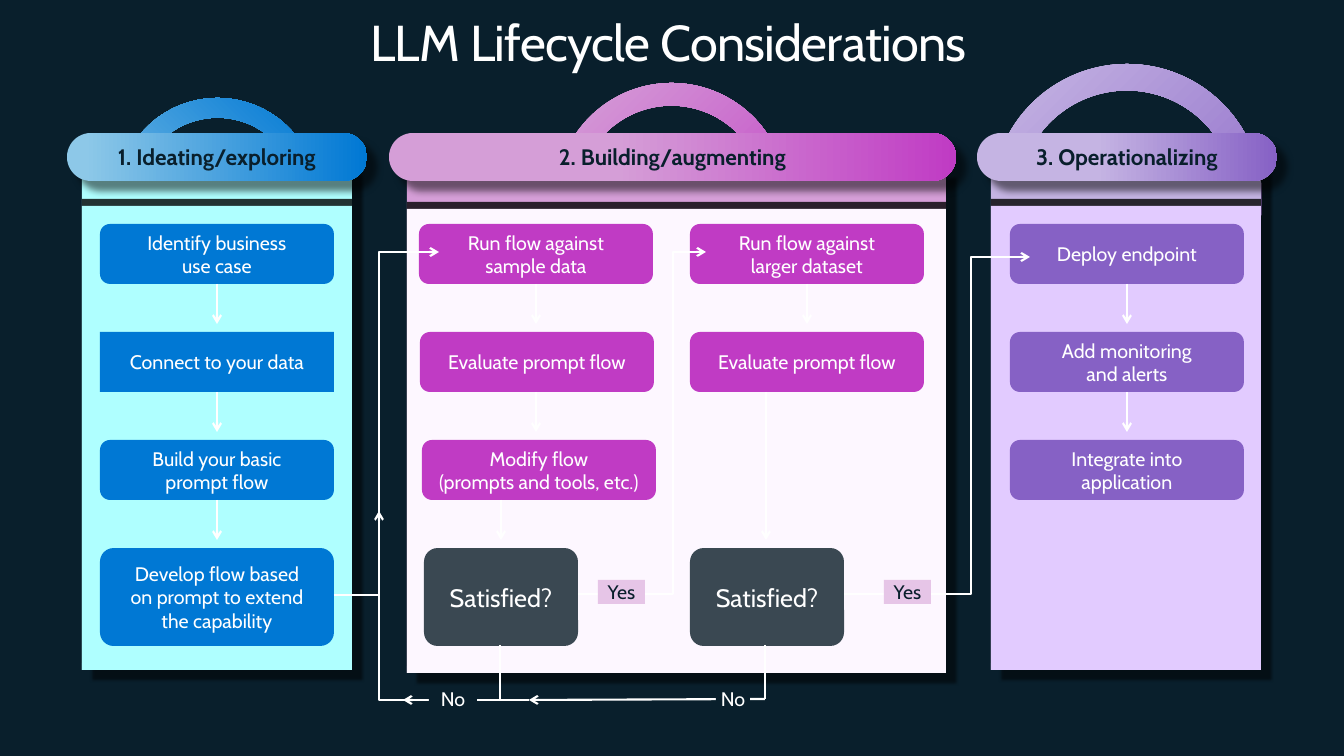
"""Builds the LLM lifecycle slide with three stage panels and their flow."""
from dataclasses import dataclass

from lxml.etree import SubElement
from pptx import Presentation
from pptx.dml.color import RGBColor
from pptx.enum.shapes import MSO_CONNECTOR, MSO_SHAPE
from pptx.enum.text import MSO_ANCHOR, MSO_AUTO_SIZE, PP_ALIGN
from pptx.oxml.ns import qn
from pptx.shapes.autoshape import Shape
from pptx.slide import Slide
from pptx.text.text import TextFrame
from pptx.util import Emu, Pt

SCALE = 12192000 / 1344
FONT = "Cabin"
BOX_WIDTH, BOX_HEIGHT, DECISION_HEIGHT = 234, 60, 98
FIRST_ROW, ROW_STEP, ARROW_GAP = 224, 108, 8
BAND_HEIGHT, PANEL_HEIGHT = 41, 505
COLORS = {
    "night": "091F2C", "white": "FFFFFF", "black": "000000", "slate": "3A4852",
    "sky": "8DC8E8", "blue": "0078D4", "cyan": "AFFFFF",
    "pink": "D59ED7", "magenta": "C03BC4", "blush": "FDF7FF", "rose": "E6C5E7",
    "lilac": "C5B4E3", "purple": "8661C5", "lavender": "E2CBFF",
}


@dataclass(frozen=True)
class Bounds:
    left: int
    top: int
    width: int
    height: int


@dataclass(frozen=True)
class Shadow:
    opacity: int
    blur: int
    distance: int
    angle: int


@dataclass(frozen=True)
class Stage:
    title: str
    panel: Bounds
    header: Bounds
    ring: Bounds
    light: str
    dark: str
    band: str
    body: str
    ring_angle: int
    header_start: float


@dataclass(frozen=True)
class Step:
    text: str
    left: int
    row: int
    color: str
    kind: MSO_SHAPE = MSO_SHAPE.ROUNDED_RECTANGLE
    width: int = BOX_WIDTH
    height: int = BOX_HEIGHT
    size: int = 14


@dataclass(frozen=True)
class Route:
    points: tuple[tuple[int, int], ...]
    arrow: bool = True


@dataclass(frozen=True)
class Label:
    text: str
    bounds: Bounds
    fill: str
    color: str


PANEL_SHADOW = Shadow(50, 2, 10, 45)
BODY_SHADOW = Shadow(80, 0, 5, 270)
HEADER_SHADOW = Shadow(50, 5, 10, 45)

STAGES = (
    Stage("1. Ideating/exploring", Bounds(82, 165, 270, PANEL_HEIGHT), Bounds(67, 133, 300, 48),
          Bounds(117, 98, 201, 201), "sky", "blue", "cyan", "cyan", 315, 0.06),
    Stage("2. Building/augmenting", Bounds(407, 168, 539, PANEL_HEIGHT), Bounds(389, 133, 567, 48),
          Bounds(556, 83, 231, 231), "pink", "magenta", "pink", "blush", 45, 0.4),
    Stage("3. Operationalizing", Bounds(991, 165, 270, PANEL_HEIGHT), Bounds(977, 133, 300, 48),
          Bounds(992, 64, 270, 270), "lilac", "purple", "lilac", "lavender", 45, 0.4),
)
STEPS = (
    Step("Identify business\vuse case", 100, 0, "blue"),
    Step("Connect to your data", 100, 1, "blue", MSO_SHAPE.RECTANGLE),
    Step("Build your basic\nprompt flow", 100, 2, "blue"),
    Step("Develop flow based\von prompt to extend\vthe capability", 100, 3, "blue", height=DECISION_HEIGHT),
    Step("Run flow against\vsample data", 419, 0, "magenta"),
    Step("Evaluate prompt flow", 420, 1, "magenta"),
    Step("Modify flow\v(prompts and tools, etc.)", 422, 2, "magenta"),
    Step("Satisfied?", 424, 3, "slate", width=154, height=DECISION_HEIGHT, size=18),
    Step("Run flow against\vlarger dataset", 690, 0, "magenta"),
    Step("Evaluate prompt flow", 690, 1, "magenta"),
    Step("Satisfied?", 690, 3, "slate", width=154, height=DECISION_HEIGHT, size=18),
    Step("Deploy endpoint", 1010, 0, "purple"),
    Step("Add monitoring\vand alerts", 1010, 1, "purple"),
    Step("Integrate into\vapplication", 1010, 2, "purple"),
)
DOWN_ARROWS = ((217, 0, 1), (217, 1, 2), (217, 2, 3), (536, 0, 1), (536, 1, 2), (501, 2, 3),
               (807, 0, 1), (766, 1, 3), (1127, 0, 1), (1127, 1, 2))
ROUTES = (
    Route(((500, 645), (500, 700), (379, 700), (379, 511))),
    Route(((334, 595), (379, 595), (379, 252), (439, 252))),
    Route(((634, 594), (673, 594), (673, 252), (706, 252))),
    Route(((899, 594), (971, 594), (971, 257), (1030, 257))),
    Route(((607, 594), (578, 594)), False),
    Route(((884, 594), (844, 594)), False),
    Route(((433, 700), (403, 700))),
    Route(((765, 645), (765, 699)), False),
    Route(((765, 699), (529, 700))),
    Route(((529, 700), (500, 700)), False),
)
LABELS = (
    Label("No", Bounds(429, 687, 48, 24), "night", "white"),
    Label("No", Bounds(716, 687, 34, 24), "night", "white"),
    Label("Yes", Bounds(598, 580, 47, 24), "rose", "night"),
    Label("Yes", Bounds(884, 580, 47, 24), "rose", "night"),
)


def px(value: float) -> Emu:
    return Emu(round(value * SCALE))


def rgb(name: str) -> RGBColor:
    return RGBColor.from_string(COLORS[name])


def row_top(row: int) -> int:
    return FIRST_ROW + row * ROW_STEP


def write(frame: TextFrame, text: str, size: int, color: str, bold: bool = False) -> None:
    frame.text = text
    frame.word_wrap = True
    frame.vertical_anchor = MSO_ANCHOR.MIDDLE
    frame.margin_left = frame.margin_right = frame.margin_top = frame.margin_bottom = 0
    for paragraph in frame.paragraphs:
        paragraph.alignment = PP_ALIGN.CENTER
        for run in paragraph.runs:
            run.font.name, run.font.size, run.font.bold = FONT, Pt(size), bold
            run.font.color.rgb = rgb(color)


def add_block(slide: Slide, kind: MSO_SHAPE, bounds: Bounds, fill: str, shadow: Shadow | None = None) -> Shape:
    shape = slide.shapes.add_shape(kind, px(bounds.left), px(bounds.top), px(bounds.width), px(bounds.height))
    shape.shadow.inherit = False
    shape.fill.solid()
    shape.fill.fore_color.rgb = rgb(fill)
    shape.line.fill.background()
    if shadow:
        effects = shape.element.spPr.find(qn("a:effectLst"))
        outer = SubElement(effects, qn("a:outerShdw"), blurRad=str(Pt(shadow.blur)), dist=str(Pt(shadow.distance)),
                           dir=str(shadow.angle * 60000), algn="ctr", rotWithShape="0")
        color = SubElement(outer, qn("a:srgbClr"), val=COLORS["black"])
        SubElement(color, qn("a:alpha"), val=str(shadow.opacity * 1000))
    return shape


def blend(shape: Shape, stage: Stage, start: float, angle: int) -> None:
    shape.fill.gradient()
    shape.fill.gradient_angle = (360 - angle) % 360
    for stop, color, position in zip(shape.fill.gradient_stops, (stage.light, stage.dark), (start, 1)):
        stop.color.rgb = rgb(color)
        stop.position = position


def add_stage(slide: Slide, stage: Stage) -> None:
    ring = add_block(slide, MSO_SHAPE.DONUT, stage.ring, stage.light)
    ring.adjustments[0] = 0.098
    blend(ring, stage, 0.03, stage.ring_angle)
    panel = stage.panel
    add_block(slide, MSO_SHAPE.RECTANGLE, panel, stage.band, PANEL_SHADOW)
    body = Bounds(panel.left, panel.top + BAND_HEIGHT, panel.width, panel.height - BAND_HEIGHT)
    add_block(slide, MSO_SHAPE.RECTANGLE, body, stage.body, BODY_SHADOW)
    header = add_block(slide, MSO_SHAPE.ROUNDED_RECTANGLE, stage.header, stage.light, HEADER_SHADOW)
    header.adjustments[0] = 0.5
    blend(header, stage, stage.header_start, 0)
    write(header.text_frame, stage.title, 16, "night", True)


def add_step(slide: Slide, step: Step) -> None:
    shape = add_block(slide, step.kind, Bounds(step.left, row_top(step.row), step.width, step.height), step.color)
    if step.height == DECISION_HEIGHT:
        shape.adjustments[0] = 0.139
    write(shape.text_frame, step.text, step.size, "white")


def add_route(slide: Slide, route: Route) -> None:
    start, *rest = route.points
    if len(rest) == 1:
        shape = slide.shapes.add_connector(MSO_CONNECTOR.STRAIGHT, *map(px, start + rest[0]))
    else:
        builder = slide.shapes.build_freeform(*start, scale=SCALE)
        builder.add_line_segments(rest, close=False)
        shape = builder.convert_to_shape()
        shape.fill.background()
    shape.line.color.rgb = rgb("white")
    shape.line.width = Pt(1.5)
    if route.arrow:
        SubElement(shape.line._get_or_add_ln(), qn("a:tailEnd"), type="arrow")
    SubElement(shape.element.spPr, qn("a:effectLst"))


def main() -> None:
    presentation = Presentation()
    presentation.slide_width, presentation.slide_height = px(1344), px(756)
    slide = presentation.slides.add_slide(presentation.slide_layouts[5])
    slide.background.fill.solid()
    slide.background.fill.fore_color.rgb = rgb("night")
    title = slide.shapes.title
    title.left, title.top, title.width, title.height = map(px, (61, 11, 1215, 61))
    write(title.text_frame, "LLM Lifecycle Considerations", 36, "white")
    title.text_frame.auto_size = MSO_AUTO_SIZE.NONE
    title.text_frame.vertical_anchor = MSO_ANCHOR.TOP
    title.text_frame.paragraphs[0].runs[0].font._element.set("spc", "-50")
    for stage in STAGES:
        add_stage(slide, stage)
    for step in STEPS:
        add_step(slide, step)
    for center, upper, lower in DOWN_ARROWS:
        add_route(slide, Route(((center, row_top(upper) + BOX_HEIGHT), (center, row_top(lower) - ARROW_GAP))))
    for route in ROUTES:
        add_route(slide, route)
    for label in LABELS:
        shape = add_block(slide, MSO_SHAPE.RECTANGLE, label.bounds, label.fill)
        write(shape.text_frame, label.text, 14, label.color)
    presentation.save("out.pptx")


if __name__ == "__main__":
    main()
